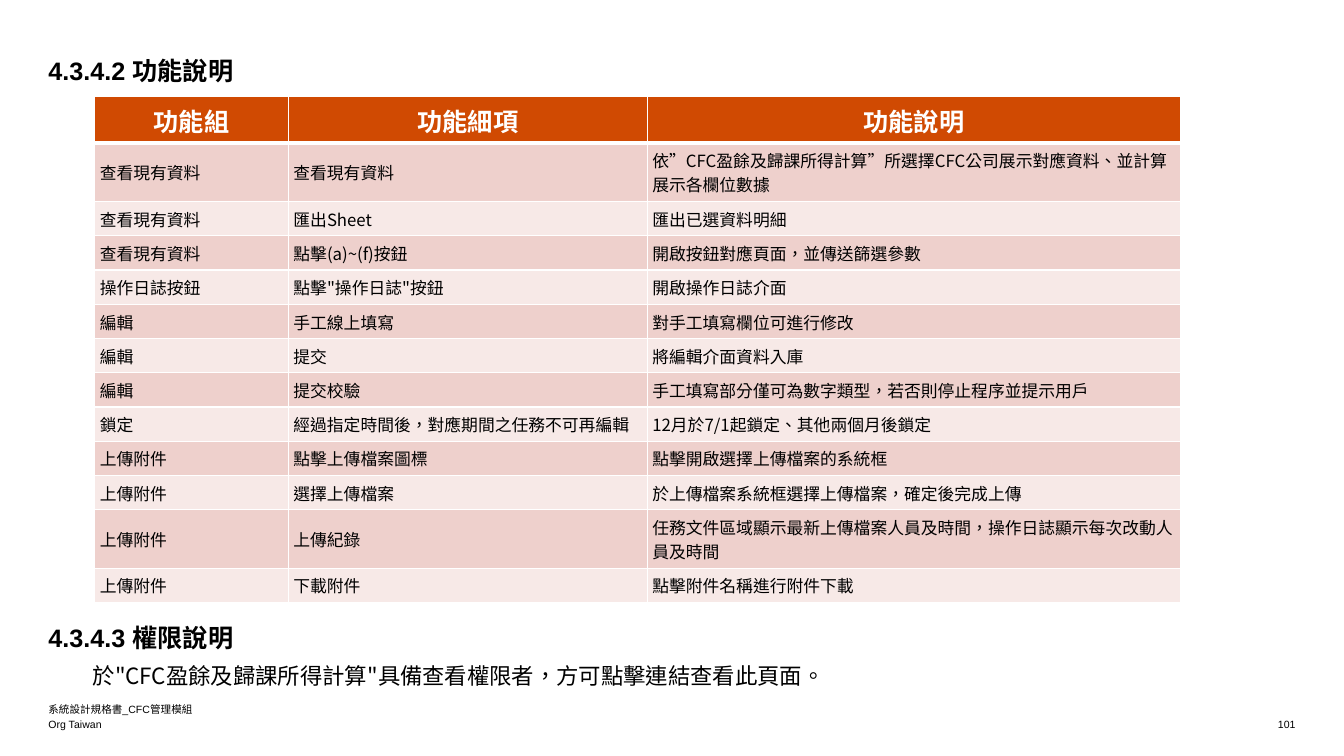
from lxml import etree
from pptx import Presentation
from pptx.dml.color import RGBColor
from pptx.enum.lang import MSO_LANGUAGE_ID
from pptx.enum.text import MSO_ANCHOR, PP_ALIGN
from pptx.oxml.ns import qn
from pptx.util import Inches, Pt

TOP, MIDDLE, BOTTOM = MSO_ANCHOR.TOP, MSO_ANCHOR.MIDDLE, MSO_ANCHOR.BOTTOM
LEFT, CENTER, RIGHT = PP_ALIGN.LEFT, PP_ALIGN.CENTER, PP_ALIGN.RIGHT
CHINESE = MSO_LANGUAGE_ID.TRADITIONAL_CHINESE

HEADING_FONT = "Arial"
BODY_FONT = "Noto Sans CJK SC"
BLACK, WHITE, ORANGE = "000000", "FFFFFF", "D04A02"
BANDS = ("EED0CC", "F7E9E7")

COLUMN_WIDTHS = (1.92, 3.56, 5.29)
HEADER_HEIGHT, ROW_HEIGHT, TALL_ROW_HEIGHT = 0.46, 0.34, 0.58
TALL_ROWS = (1, 11)
NORMAL_MARGINS = (0.05, 0.05, 0.05, 0.05)
TIGHT_MARGINS = (0.05, 0.01, 0.01, 0)

HEADERS = ("功能組", "功能細項", "功能說明")
FUNCTIONS = (
    ("查看現有資料", "查看現有資料",
     "依”CFC盈餘及歸課所得計算”所選擇CFC公司展示對應資料、並計算展示各欄位數據"),
    ("查看現有資料", "匯出Sheet", "匯出已選資料明細"),
    ("查看現有資料", "點擊(a)~(f)按鈕", "開啟按鈕對應頁面，並傳送篩選參數"),
    ("操作日誌按鈕", "點擊\"操作日誌\"按鈕", "開啟操作日誌介面"),
    ("編輯", "手工線上填寫", "對手工填寫欄位可進行修改"),
    ("編輯", "提交", "將編輯介面資料入庫"),
    ("編輯", "提交校驗", "手工填寫部分僅可為數字類型，若否則停止程序並提示用戶"),
    ("鎖定", "經過指定時間後，對應期間之任務不可再編輯",
     "12月於7/1起鎖定、其他兩個月後鎖定"),
    ("上傳附件", "點擊上傳檔案圖標", "點擊開啟選擇上傳檔案的系統框"),
    ("上傳附件", "選擇上傳檔案", "於上傳檔案系統框選擇上傳檔案，確定後完成上傳"),
    ("上傳附件", "上傳紀錄",
     "任務文件區域顯示最新上傳檔案人員及時間，操作日誌顯示每次改動人員及時間"),
    ("上傳附件", "下載附件", "點擊附件名稱進行附件下載"),
)


def color(value):
    return RGBColor.from_string(value)


def write(frame, text, size, font, ink=BLACK, bold=False, align=LEFT):
    para = frame.paragraphs[0]
    para.text = text
    para.alignment = align
    para.font.size = Pt(size)
    para.font.name = font
    para.font.bold = bold
    para.font.color.rgb = color(ink)
    for span in para.runs:
        span.font.language_id = CHINESE
    return para


def set_margins(target, margins):
    left, top, right, bottom = (Inches(margin) for margin in margins)
    target.margin_left, target.margin_top = left, top
    target.margin_right, target.margin_bottom = right, bottom


def add_text(page, area, text, size, font, anchor=TOP, space_after=0, **style):
    box = page.shapes.add_textbox(*(Inches(length) for length in area))
    frame = box.text_frame
    frame.word_wrap = True
    frame.vertical_anchor = anchor
    set_margins(frame, (0, 0, 0, 0))
    para = write(frame, text, size, font, **style)
    para.space_after = Pt(space_after)


def add_heading(page, top, text):
    add_text(page, (0.48, top, 3.98, 0.3), text, 18, HEADING_FONT,
             space_after=6, bold=True)


def add_footer(page, left, top, width, text, align=LEFT):
    add_text(page, (left, top, width, 0.15), text, 7.5, HEADING_FONT,
             anchor=BOTTOM, align=align)


def add_borders(cell, top, bottom):
    properties = cell._tc.get_or_add_tcPr()
    for side, width in (("L", 1), ("R", 1), ("T", top), ("B", bottom)):
        line = etree.SubElement(properties, qn(f"a:ln{side}"), w=str(Pt(width)))
        fill = etree.SubElement(line, qn("a:solidFill"))
        etree.SubElement(fill, qn("a:srgbClr"), val=WHITE)


def fill_cell(cell, fill, top=1, bottom=1):
    add_borders(cell, top, bottom)
    cell.fill.solid()
    cell.fill.fore_color.rgb = color(fill)


def row_height(index):
    if index == 0:
        return HEADER_HEIGHT
    return TALL_ROW_HEIGHT if index in TALL_ROWS else ROW_HEIGHT


def add_function_table(page):
    heights = [row_height(index) for index in range(len(FUNCTIONS) + 1)]
    table = page.shapes.add_table(
        len(heights), len(HEADERS), Inches(0.94), Inches(0.96),
        Inches(sum(COLUMN_WIDTHS)), Inches(sum(heights))).table
    for column, width in zip(table.columns, COLUMN_WIDTHS):
        column.width = Inches(width)
    for row, height in zip(table.rows, heights):
        row.height = Inches(height)
    for column, header in enumerate(HEADERS):
        cell = table.cell(0, column)
        write(cell.text_frame, header, 18, HEADING_FONT, WHITE, True, CENTER)
        fill_cell(cell, ORANGE, bottom=3)
    for index, texts in enumerate(FUNCTIONS, start=1):
        margins = TIGHT_MARGINS if texts[0] == "編輯" else NORMAL_MARGINS
        for column, text in enumerate(texts):
            cell = table.cell(index, column)
            cell.vertical_anchor = MIDDLE
            set_margins(cell, margins)
            write(cell.text_frame, text, 12, BODY_FONT)
            fill_cell(cell, BANDS[(index - 1) % 2], top=3 if index == 1 else 1)


def main():
    deck = Presentation()
    deck.slide_width, deck.slide_height = Inches(13.33), Inches(7.5)
    page = deck.slides.add_slide(deck.slide_layouts[6])
    add_footer(page, 0.48, 7.1, 5.99, "Org Taiwan")
    add_footer(page, 0.48, 6.95, 5.99, "系統設計規格書_CFC管理模組")
    add_footer(page, 10.92, 7.1, 1.93, "101", RIGHT)
    add_function_table(page)
    add_heading(page, 0.55, "4.3.4.2 功能說明")
    add_text(page, (0.92, 6.57, 7.6, 0.27),
             "於\"CFC盈餘及歸課所得計算\"具備查看權限者，方可點擊連結查看此頁面。",
             16, BODY_FONT, space_after=6)
    add_heading(page, 6.17, "4.3.4.3 權限說明")
    deck.save("out.pptx")


if __name__ == "__main__":
    main()
